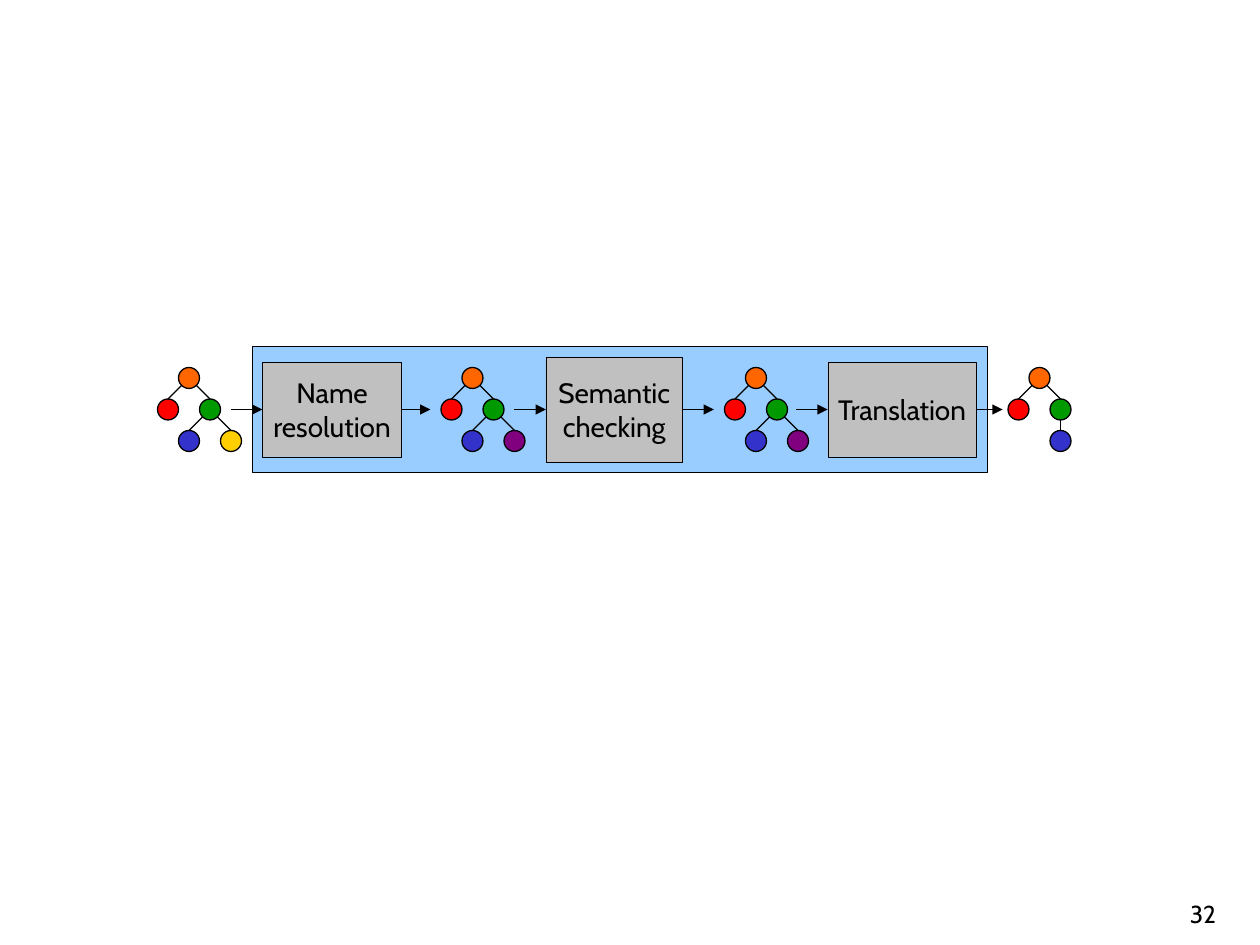
from dataclasses import dataclass
from math import sqrt

from lxml import etree
from pptx import Presentation
from pptx.dml.color import RGBColor
from pptx.enum.shapes import MSO_CONNECTOR, MSO_SHAPE
from pptx.enum.text import MSO_ANCHOR, PP_ALIGN
from pptx.oxml.ns import qn
from pptx.util import Pt

RECTANGLE = MSO_SHAPE.RECTANGLE
OVAL = MSO_SHAPE.OVAL
STRAIGHT = MSO_CONNECTOR.STRAIGHT
MIDDLE, BOTTOM = MSO_ANCHOR.MIDDLE, MSO_ANCHOR.BOTTOM
CENTER, RIGHT = PP_ALIGN.CENTER, PP_ALIGN.RIGHT
LEFT_SIDE, RIGHT_SIDE = 1, 3


@dataclass(frozen=True)
class Theme:
    font: str = "Cabin"
    ink: str = "000000"
    panel: str = "99CCFF"
    stage: str = "C0C0C0"
    orange: str = "FF6600"
    green: str = "009900"
    yellow: str = "FFCF01"
    purple: str = "800080"
    blue: str = "3333CC"
    red: str = "FF0000"
    stage_size: float = 16
    number_size: float = 14
    thin: float = 0.25
    line: float = 0.75


THEME = Theme()
AXIS = 234          # height of the arrows and of the stage centres
NODE = 12           # diameter of a tree node
ROW = 18            # distance between tree levels
TREE_TOP = 210
TREE_STEP = 162
TREE_LEFT = 90
ARROW = 18


def add_filled(page, kind, left, top, width, height, fill, weight):
    shape = page.shapes.add_shape(kind, Pt(left), Pt(top), Pt(width), Pt(height))
    shape.shadow.inherit = False
    shape.fill.solid()
    shape.fill.fore_color.rgb = RGBColor.from_string(fill)
    shape.line.color.rgb = RGBColor.from_string(THEME.ink)
    shape.line.width = Pt(weight)
    return shape


def write(frame, lines, size, align, anchor):
    frame.vertical_anchor = anchor
    for index, line in enumerate(lines):
        para = frame.paragraphs[0] if index == 0 else frame.add_paragraph()
        para.alignment = align
        span = para.add_run()
        span.text = line
        span.font.name = THEME.font
        span.font.size = Pt(size)
        span.font.color.rgb = RGBColor.from_string(THEME.ink)


def add_stage(page, left, width, height, lines):
    box = add_filled(page, RECTANGLE, left, AXIS - height / 2, width, height,
                     THEME.stage, THEME.thin)
    box.text_frame.word_wrap = False
    write(box.text_frame, lines, THEME.stage_size, CENTER, MIDDLE)
    return box


def add_line(page, start, end, arrow=False):
    line = page.shapes.add_connector(STRAIGHT, *map(Pt, start + end))
    line.line.color.rgb = RGBColor.from_string(THEME.ink)
    line.line.width = Pt(THEME.line)
    properties = line._element.spPr
    if arrow:
        outline = line.line._get_or_add_ln()
        etree.SubElement(outline, qn("a:tailEnd"), type="triangle")
    etree.SubElement(properties, qn("a:effectLst"))
    return line


def add_edge(page, parent, child):
    """Join the rim of the parent to the top of the child; nodes are centres."""
    radius = NODE / 2
    across = child[0] - parent[0]
    diagonal = radius / sqrt(2)
    if across:
        rim = (parent[0] + (diagonal if across > 0 else -diagonal),
               parent[1] + diagonal)
    else:
        rim = (parent[0], parent[1] + radius)
    add_line(page, (child[0], child[1] - radius), rim)


def add_tree(page, left, nodes, edges):
    """Nodes map a name to (column, level, colour); columns are one node wide."""
    centres = {}
    for name, (column, level, colour) in nodes.items():
        x, y = left + column * NODE, TREE_TOP + level * ROW
        add_filled(page, OVAL, x, y, NODE, NODE, colour, THEME.line)
        centres[name] = (x + NODE / 2, y + NODE / 2)
    for parent, child in edges:
        add_edge(page, centres[parent], centres[child])


def add_trees(page):
    top_nodes = {"root": (1, 0, THEME.orange), "right": (2, 1, THEME.green),
                 "left": (0, 1, THEME.red)}
    top_edges = [("root", "left"), ("root", "right")]

    # Full trees: only the last leaf changes colour
    for index, leaf in enumerate((THEME.yellow, THEME.purple, THEME.purple)):
        nodes = top_nodes | {"inner": (1, 2, THEME.blue), "outer": (3, 2, leaf)}
        edges = top_edges + [("right", "inner"), ("right", "outer")]
        add_tree(page, TREE_LEFT + index * TREE_STEP, nodes, edges)

    # Reduced tree after translation
    add_tree(page, TREE_LEFT + 3 * TREE_STEP,
             top_nodes | {"leaf": (2, 2, THEME.blue)},
             top_edges + [("right", "leaf")])


def add_stages(page):
    # left, width, height, end of the outgoing arrow, label
    stages = [
        (150, 79.5, 54, 246, ["Name", "resolution"]),
        (312, 78, 60, 408, ["Semantic", "checking"]),
        (473, 85, 54, 573, ["Translation"]),
    ]
    for left, width, height, out, label in stages:
        box = add_stage(page, left, width, height, label)
        incoming = add_line(page, (left - ARROW, AXIS), (left, AXIS), arrow=True)
        incoming.end_connect(box, LEFT_SIDE)
        outgoing = add_line(page, (left + width, AXIS), (out, AXIS), arrow=True)
        outgoing.begin_connect(box, RIGHT_SIDE)


def add_page_number(page, number):
    box = page.shapes.add_textbox(Pt(552), Pt(498), Pt(150), Pt(36))
    box.text_frame.word_wrap = True
    write(box.text_frame, [number], THEME.number_size, RIGHT, BOTTOM)


def main():
    deck = Presentation()
    deck.slide_width, deck.slide_height = Pt(720), Pt(540)
    page = deck.slides.add_slide(deck.slide_layouts[6])

    # Panel behind the three stages
    add_filled(page, RECTANGLE, 144, 198, 420, 72, THEME.panel, THEME.thin)
    add_stages(page)
    add_trees(page)
    add_page_number(page, "32")
    deck.save("out.pptx")


if __name__ == "__main__":
    main()
